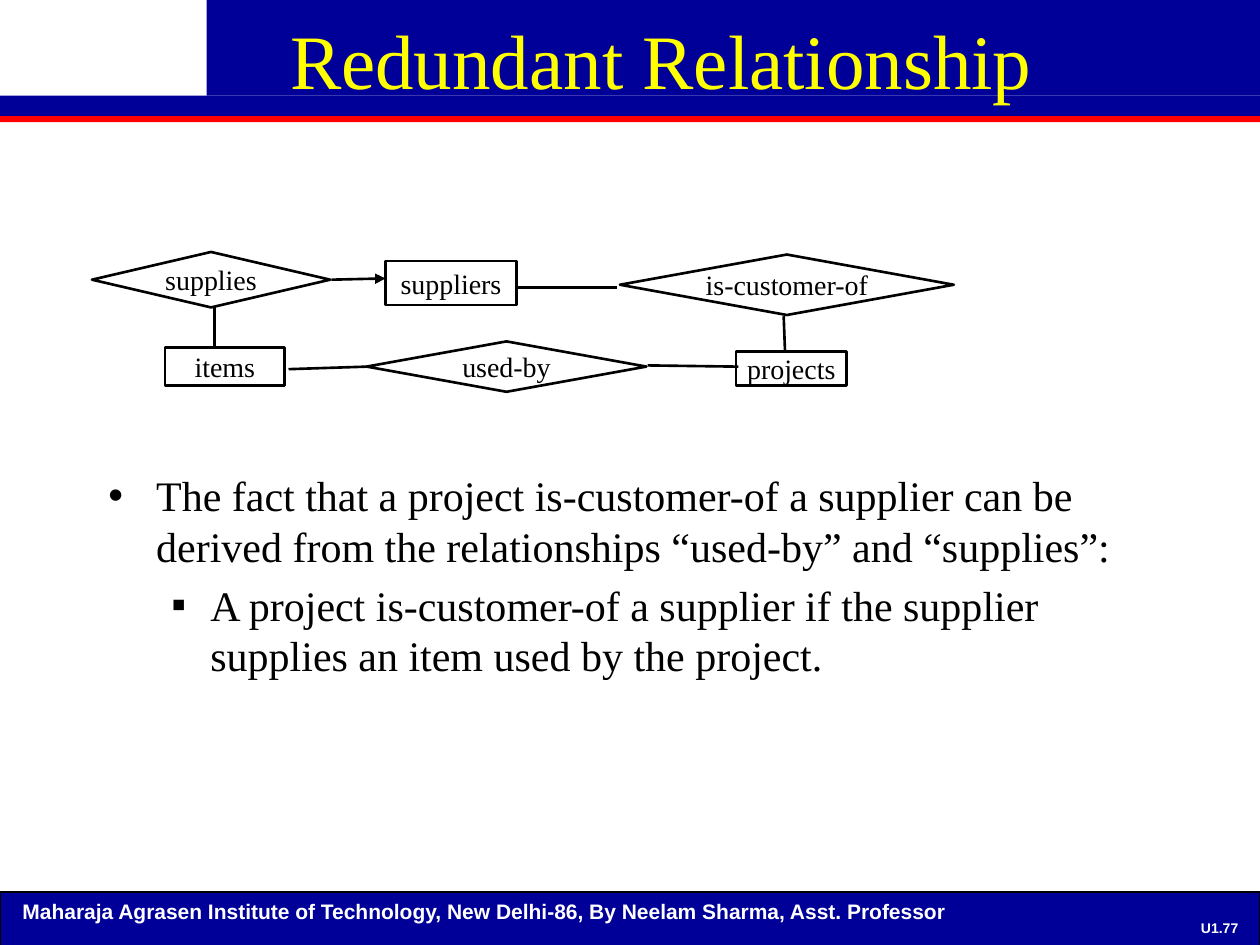
from pptx import Presentation
from pptx.dml.color import RGBColor
from pptx.enum.shapes import MSO_CONNECTOR, MSO_SHAPE
from pptx.enum.text import MSO_ANCHOR, MSO_AUTO_SIZE, PP_ALIGN
from pptx.oxml.ns import qn
from pptx.util import Inches, Pt
from lxml.etree import SubElement

COLORS = {"navy": "000099", "red": "FF0000", "yellow": "FFFF00",
          "white": "FFFFFF", "black": "000000"}
SERIF, SANS = "Times New Roman", "Arial"

ENTITIES = [("suppliers", 2.33, 0.07, 1.04, 0.35),
            ("projects", 5.11, 0.79, 0.88, 0.27),
            ("items", 0.58, 0.76, 0.95, 0.30)]
RELATIONSHIPS = [("supplies", 0, 0, 1.89, 0.44),
                 ("used-by", 2.18, 0.71, 2.22, 0.40),
                 ("is-customer-of", 4.19, 0.02, 2.65, 0.48)]
ARROW = (2.33, 0.21, 1.90, 0.22)
LINKS = [(0.97, 0.43, 0.97, 0.76), (1.56, 0.93, 2.18, 0.91),
         (4.41, 0.90, 5.13, 0.91), (3.37, 0.28, 4.17, 0.28),
         (5.49, 0.51, 5.50, 0.78)]
POINTS = [("The fact that a project is-customer-of a supplier can be derived from "
           "the relationships “used-by” and “supplies”:", 0, "•", 0.38, 0.38),
          ("A project is-customer-of a supplier if the supplier supplies an item "
           "used by the project.", 1, "▪", 0.81, 0.31)]


def rgb(name):
    """Return the named colour."""
    return RGBColor.from_string(COLORS[name])


def style(p, font, size, color, align=PP_ALIGN.LEFT, bold=False):
    """Format a whole paragraph."""
    p.alignment = align
    p.font.name, p.font.size, p.font.bold = font, Pt(size), bold
    p.font.color.rgb = rgb(color)


def add_box(s, kind, x, y, w, h, fill=None, line=None, width=1.5):
    """Add a preset shape with an optional fill and outline."""
    sp = s.shapes.add_shape(kind, Inches(x), Inches(y), Inches(w), Inches(h))
    sp.shadow.inherit = False
    if fill:
        sp.fill.solid()
        sp.fill.fore_color.rgb = rgb(fill)
    else:
        sp.fill.background()
    if line:
        sp.line.color.rgb = rgb(line)
        sp.line.width = Pt(width)
    else:
        sp.line.fill.background()
    return sp


def add_label(s, text, x, y, w, h, size, align, inset_x, inset_y):
    """Add a bold white footer label."""
    tf = s.shapes.add_textbox(Inches(x), Inches(y), Inches(w), Inches(h)).text_frame
    tf.word_wrap = True
    tf.margin_left = tf.margin_right = Inches(inset_x)
    tf.margin_top, tf.margin_bottom = Inches(inset_y), 0
    tf.text = text
    style(tf.paragraphs[0], SANS, size, "white", align, True)


def add_node(s, kind, text, x, y, w, h):
    """Add an outlined diagram node with a centred name."""
    tf = add_box(s, kind, x, y, w, h, line="black").text_frame
    tf.word_wrap = False
    tf.vertical_anchor = MSO_ANCHOR.MIDDLE
    tf.text = text
    style(tf.paragraphs[0], SERIF, 16, "black", PP_ALIGN.CENTER)


def add_link(s, x1, y1, x2, y2):
    """Add a plain black line."""
    link = s.shapes.add_connector(MSO_CONNECTOR.STRAIGHT, Inches(x1), Inches(y1),
                                  Inches(x2), Inches(y2))
    link.line.color.rgb = rgb("black")
    link.line.width = Pt(1.5)
    SubElement(link._element.spPr, qn("a:effectLst"))
    return link


def add_header(s, x, y, w):
    """Draw the stepped title band and the red rule below it."""
    add_box(s, MSO_SHAPE.RECTANGLE, x, y + 0.92, w, 0.05, "red")
    add_box(s, MSO_SHAPE.RECTANGLE, x + 1.64, y, w - 1.64, 0.76, "navy")
    add_box(s, MSO_SHAPE.RECTANGLE, x, y + 0.76, w, 0.16, "navy")


def add_footer(s, x, y, w, h):
    """Draw the footer band with the credit line and the page number."""
    add_box(s, MSO_SHAPE.RECTANGLE, x, y, w, h, "navy", "black", 0.75)
    add_label(s, "Maharaja Agrasen Institute of Technology, New Delhi-86, "
              "By Neelam Sharma, Asst. Professor",
              x + 0.08, y, 9.48, 0.3, 12, PP_ALIGN.LEFT, 0.1, 0.05)
    add_label(s, "U1.77", x + 9.42, y + 0.08, 0.52, 0.19, 8, PP_ALIGN.CENTER, 0, 0.14)


def add_diagram(s, x, y):
    """Draw the entity-relationship diagram from its top left corner."""
    for kind, nodes in ((MSO_SHAPE.RECTANGLE, ENTITIES), (MSO_SHAPE.DIAMOND, RELATIONSHIPS)):
        for text, dx, dy, w, h in nodes:
            add_node(s, kind, text, x + dx, y + dy, w, h)
    for x1, y1, x2, y2 in [ARROW] + LINKS:
        link = add_link(s, x + x1, y + y1, x + x2, y + y2)
        if (x1, y1, x2, y2) == ARROW:
            SubElement(link.line._get_or_add_ln(), qn("a:headEnd"), type="triangle")


def place(s, sp, x, y, w, h):
    """Move a placeholder to a box in front of the other shapes."""
    sp.left, sp.top, sp.width, sp.height = (Inches(v) for v in (x, y, w, h))
    s.shapes._spTree.append(sp._element)
    tf = sp.text_frame
    tf.word_wrap = True
    tf.auto_size = MSO_AUTO_SIZE.NONE
    tf.vertical_anchor = MSO_ANCHOR.TOP
    return tf


def add_title(s, x, y, w, h):
    """Fill the title placeholder."""
    tf = place(s, s.shapes.title, x, y, w, h)
    tf.margin_top = Inches(0.1)
    tf.text = "Redundant Relationship"
    style(tf.paragraphs[0], SERIF, 44, "yellow", PP_ALIGN.CENTER)


def add_body(s, x, y, w, h):
    """Fill the body placeholder with the bulleted points."""
    tf = place(s, s.placeholders[1], x, y, w, h)
    tf.text = "\n".join(point[0] for point in POINTS)
    for p, (_, level, bullet, left, hang) in zip(tf.paragraphs, POINTS):
        p.level = level
        p.space_before = Pt(4.8)
        style(p, SERIF, 24, "black")
        pPr = p._p.get_or_add_pPr()
        pPr.set("marL", str(Inches(left)))
        pPr.set("indent", str(-Inches(hang)))
        pPr.insert_element_before(pPr.makeelement(qn("a:buChar"), {"char": bullet}),
                                  "a:tabLst", "a:defRPr", "a:extLst")


def main():
    """Build and save the slide."""
    prs = Presentation()
    prs.slide_width, prs.slide_height = Inches(10), Inches(7.5)
    s = prs.slides.add_slide(prs.slide_layouts[1])
    add_header(s, 0, 0, 10)
    add_footer(s, 0, 7.08, 10, 0.43)
    add_diagram(s, 0.73, 2)
    add_title(s, 0.75, 0, 9, 1.25)
    add_body(s, 0.76, 3.68, 8.73, 2.34)
    prs.save("out.pptx")


if __name__ == "__main__":
    main()
